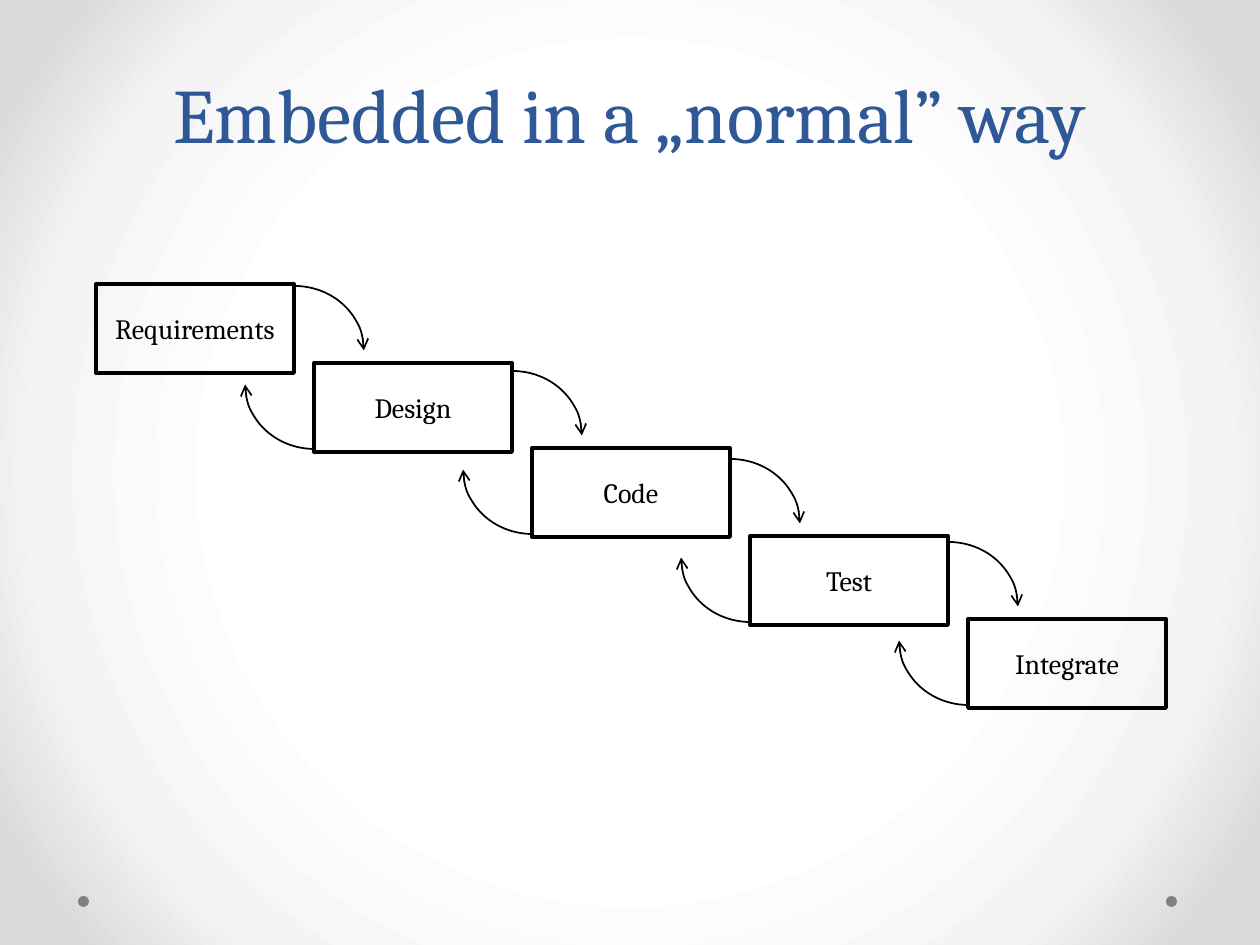
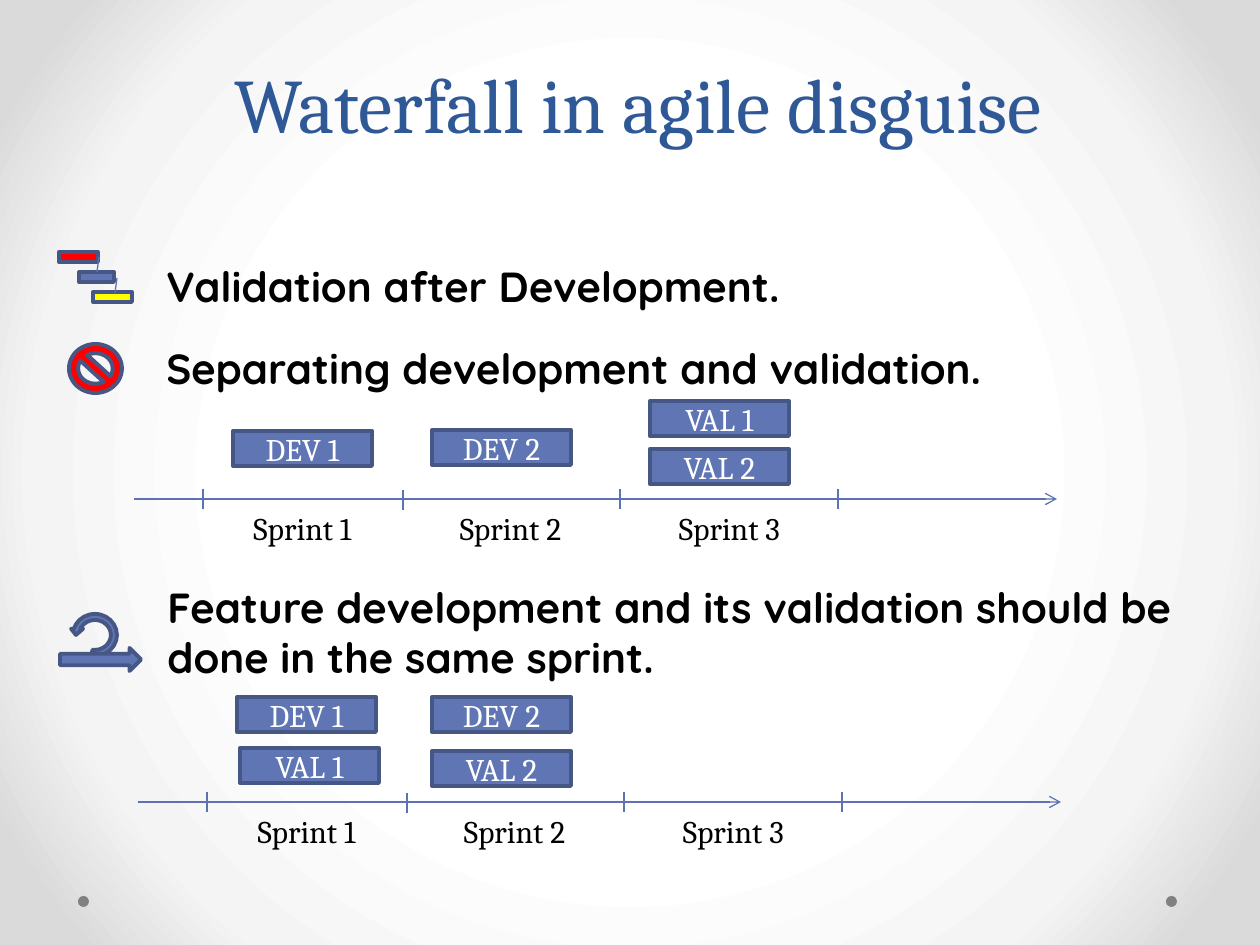
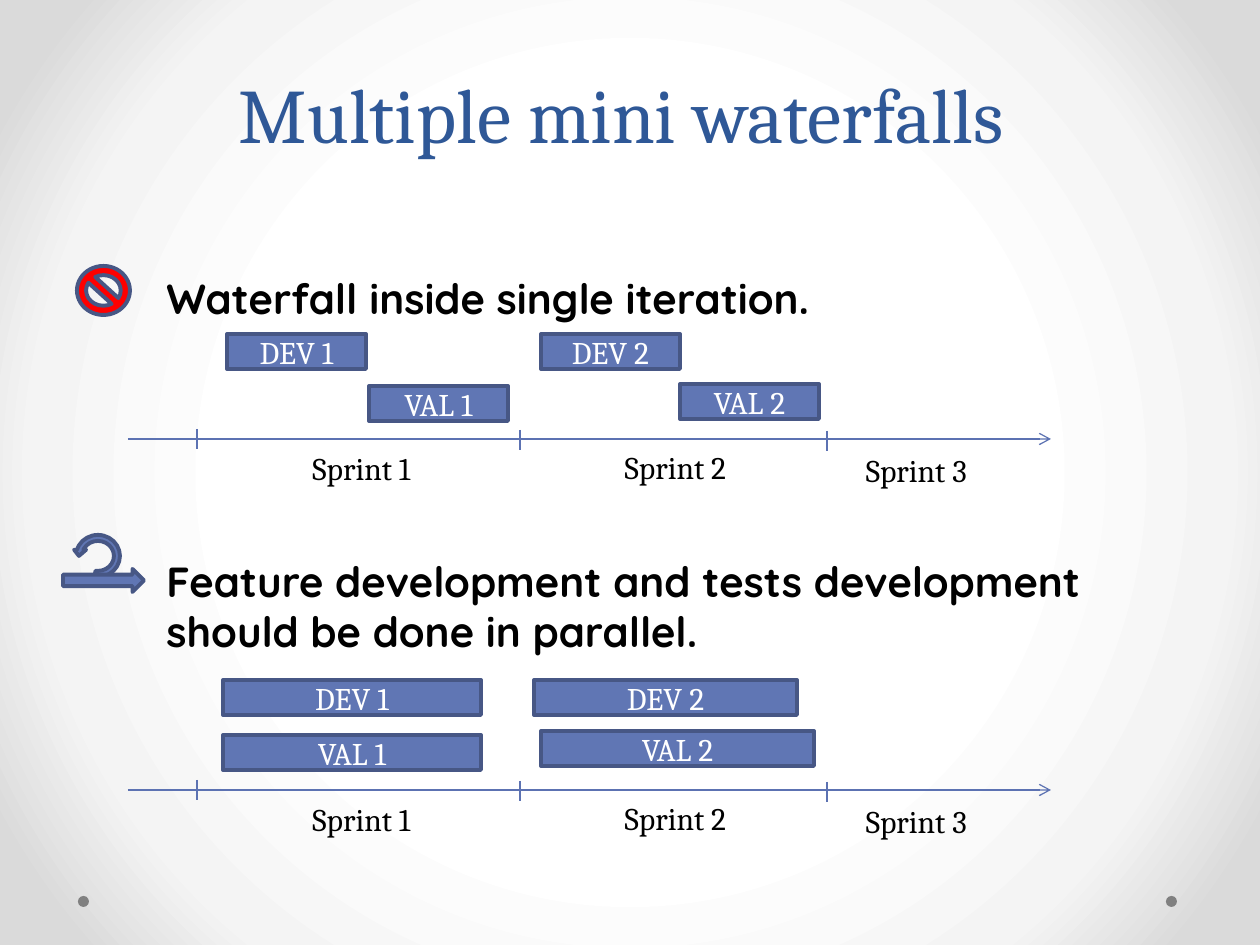
import pptx
import pptx.dml.color
import pptx.enum.shapes
import pptx.enum.text
import pptx.oxml
import pptx.oxml.ns
import pptx.util

EMU_PER_PX = 914400 / 126
SERIF, ROUNDED = "Cambria", "Quicksand"
BLACK, WHITE, GREY = "000000", "FFFFFF", "808080"
TITLE_BLUE, TASK_BLUE, TASK_EDGE, AXIS_BLUE = "2F5897", "6076B4", "475785", "5C72B2"
RED, YELLOW = "FF0000", "FFFF00"
BACKDROP_STOPS = [(50, WHITE), (76, "F4F4F4"), (92, "DADADA")]

SHAPE = pptx.enum.shapes.MSO_SHAPE
ANCHOR = pptx.enum.text.MSO_ANCHOR
ALIGN = pptx.enum.text.PP_ALIGN

AXIS_WIDTH, TICK_HEIGHT = 923, 20
TASK_WIDTH, TASK_HEIGHT = 139, 35

# Tick and label positions, measured from the left end of the axis.
EVEN_SPRINTS = {
    "ticks": [(69, -10), (269, -9), (486, -10), (704, -10)],
    "labels": [(99, 11), (307, 11), (526, 11)],
}
WIDE_SPRINTS = {
    "ticks": [(69, -10), (392, -9), (699, -8)],
    "labels": [(164, 11), (478, 10), (719, 13)],
}


def px(length):
    return pptx.util.Emu(round(length * EMU_PER_PX))


def rgb(colour):
    return pptx.dml.color.RGBColor.from_string(colour)


def add_arrowhead(shape):
    line = shape.line._get_or_add_ln()
    line.append(pptx.oxml.parse_xml(
        f'<a:tailEnd {pptx.oxml.ns.nsdecls("a")} type="arrow"/>'))


def write(shape, text, size, colour, font=SERIF, bold=False,
          align=ALIGN.CENTER, anchor=ANCHOR.MIDDLE):
    frame = shape.text_frame
    frame.word_wrap = True
    frame.vertical_anchor = anchor
    paragraph = frame.paragraphs[0]
    paragraph.text = text
    paragraph.alignment = align
    paragraph.font.name = font
    paragraph.font.size = pptx.util.Pt(size)
    paragraph.font.bold = bold
    paragraph.font.color.rgb = rgb(colour)
    return paragraph


def add_figure(slide, kind, left, top, width, height,
               fill=None, edge=None, weight=2.25):
    figure = slide.shapes.add_shape(kind, px(left), px(top), px(width), px(height))
    figure.shadow.inherit = False
    if fill:
        figure.fill.solid()
        figure.fill.fore_color.rgb = rgb(fill)
    else:
        figure.fill.background()
    if edge:
        figure.line.color.rgb = rgb(edge)
        figure.line.width = pptx.util.Pt(weight)
    else:
        figure.line.fill.background()
    return figure


def add_text(slide, left, top, width, height, text, size, colour, **style):
    box = slide.shapes.add_textbox(px(left), px(top), px(width), px(height))
    return write(box, text, size, colour, **style)


def add_line(slide, x1, y1, x2, y2):
    line = slide.shapes.add_connector(
        pptx.enum.shapes.MSO_CONNECTOR.STRAIGHT, px(x1), px(y1), px(x2), px(y2))
    line.line.color.rgb = rgb(AXIS_BLUE)
    line.line.width = pptx.util.Pt(0.75)
    line.element.spPr.append(pptx.oxml.parse_xml(
        f'<a:effectLst {pptx.oxml.ns.nsdecls("a")}/>'))
    return line


def set_backdrop(master):
    """Give every slide the radial white-to-grey background."""
    master.background.fill.gradient()
    gradient = next(master.element.iter(pptx.oxml.ns.qn("a:gradFill")))
    stops = "".join(
        f'<a:gs pos="{position * 1000}"><a:srgbClr val="{colour}"/></a:gs>'
        for position, colour in BACKDROP_STOPS)
    gradient.getparent().replace(gradient, pptx.oxml.parse_xml(
        f'<a:gradFill {pptx.oxml.ns.nsdecls("a")} rotWithShape="1">'
        f'<a:gsLst>{stops}</a:gsLst><a:path path="circle">'
        '<a:fillToRect l="50000" t="50000" r="50000" b="50000"/>'
        '</a:path></a:gradFill>'))


def add_titled_slide(deck, title, title_height=165):
    slide = deck.slides.add_slide(deck.slide_layouts[6])
    for dot_left in (1166, 78):
        add_figure(slide, SHAPE.OVAL, dot_left, 896, 11, 11, GREY)
    heading = add_text(slide, 63, 0, 1134, title_height, title, 44, TITLE_BLUE,
                       anchor=ANCHOR.BOTTOM)
    heading.line_spacing = pptx.util.Pt(58)
    return slide


def add_statement(slide, left, top, height, text, line_spacing=None):
    statement = add_text(slide, left, top, 1044, height, text, 24, BLACK,
                         font=ROUNDED, bold=True, align=ALIGN.LEFT,
                         anchor=ANCHOR.TOP)
    statement.space_before = pptx.util.Pt(4.8)
    if line_spacing:
        statement.line_spacing = line_spacing


def add_waterfall(slide, left, top, phases):
    """Draw the phases, given as (name, drop below top), with arcs both ways."""
    for index, (phase, drop) in enumerate(phases):
        x, y = left + index * 218, top + drop
        if index:
            for dx, dy, rotation in ((-89, -77, 0), (-69, -43, 180)):
                arc = add_figure(slide, SHAPE.ARC, x + dx, y + dy, 139, 129,
                                 edge=BLACK, weight=1)
                arc.rotation = rotation
                add_arrowhead(arc)
        box = add_figure(slide, SHAPE.RECTANGLE, x, y, 198, 89, edge=BLACK)
        write(box, phase, 16, BLACK)


def add_timeline(slide, left, top, sprints, tasks):
    """Draw an axis at top, its sprints, and tasks as (name, dx, dy[, width])."""
    add_arrowhead(add_line(slide, left, top, left + AXIS_WIDTH, top))
    for dx, dy in sprints["ticks"]:
        add_line(slide, left + dx, top + dy, left + dx, top + dy + TICK_HEIGHT)
    for number, (dx, dy) in enumerate(sprints["labels"], 1):
        add_text(slide, left + dx, top + dy, TASK_WIDTH, TASK_HEIGHT,
                 f"Sprint {number}", 18, BLACK)
    for name, dx, dy, *width in tasks:
        task = add_figure(slide, SHAPE.RECTANGLE, left + dx, top + dy,
                          width[0] if width else TASK_WIDTH, TASK_HEIGHT,
                          TASK_BLUE, TASK_EDGE)
        write(task, name, 18, WHITE)


def add_waterfall_icon(slide, left, top):
    for dx, dy, width, fill in ((0, 0, 39, RED), (20, 20, 35, TASK_BLUE),
                                (34, 40, 39, YELLOW)):
        add_figure(slide, SHAPE.RECTANGLE, left + dx, top + dy, width, 10,
                   fill, TASK_EDGE)
    for dx, dy in ((40, 5), (58, 26)):
        add_line(slide, left + dx, top + dy, left + dx - 2, top + dy + 15)


def add_forbidden_icon(slide, left, top):
    add_figure(slide, SHAPE.NO_SYMBOL, left, top, 53, 49, RED, TASK_EDGE)


def add_iteration_icon(slide, left, top):
    loop = add_figure(slide, SHAPE.CIRCULAR_ARROW, left + 10, top, 50, 48,
                      TASK_BLUE, TASK_EDGE)
    for index, value in enumerate((0.125, 11.42, 204.58, 48.45, 0.125)):
        loop.adjustments[index] = value
    loop.element.spPr.find(pptx.oxml.ns.qn("a:xfrm")).set("flipH", "1")
    add_figure(slide, SHAPE.RIGHT_ARROW, left, top + 37, 81, 23,
               TASK_BLUE, TASK_EDGE)


def build_normal_way(deck):
    slide = add_titled_slide(deck, "Embedded in a „normal” way")
    add_waterfall(slide, 96, 284, [
        ("Requirements", 0), ("Design", 79), ("Code", 164),
        ("Test", 252), ("Integrate", 335)])


def build_agile_disguise(deck):
    slide = add_titled_slide(deck, " Waterfall in agile disguise", 155)
    add_waterfall_icon(slide, 59, 252)
    add_statement(slide, 154, 254, 89, "Validation after Development.")
    add_forbidden_icon(slide, 69, 344)
    add_statement(slide, 154, 311, 89, "Separating development and validation.", 1.5)
    add_timeline(slide, 134, 499, EVEN_SPRINTS, [
        ("DEV 1", 99, -68), ("DEV 2", 298, -69),
        ("VAL 1", 516, -98), ("VAL 2", 516, -50)])
    add_iteration_icon(slide, 60, 611)
    add_statement(slide, 155, 575, 122, "Feature development and its validation "
                  "should be done in the same sprint.")
    add_timeline(slide, 138, 802, EVEN_SPRINTS, [
        ("DEV 1", 99, -105), ("DEV 2", 294, -105),
        ("VAL 1", 102, -54), ("VAL 2", 294, -51)])


def build_mini_waterfalls(deck):
    slide = add_titled_slide(deck, "Multiple mini waterfalls ")
    add_forbidden_icon(slide, 77, 266)
    add_statement(slide, 154, 266, 59, "Waterfall inside single iteration.")
    add_timeline(slide, 128, 439, WIDE_SPRINTS, [
        ("DEV 1", 99, -105), ("DEV 2", 413, -105),
        ("VAL 1", 241, -53), ("VAL 2", 552, -55)])
    add_iteration_icon(slide, 63, 532)
    add_statement(slide, 154, 549, 122, "Feature development and tests development "
                  "should be done in parallel.")
    add_timeline(slide, 128, 790, WIDE_SPRINTS, [
        ("DEV 1", 95, -110, 258), ("DEV 2", 406, -110, 263),
        ("VAL 1", 95, -55, 258), ("VAL 2", 413, -59, 273)])


def main():
    deck = pptx.Presentation()
    deck.slide_width, deck.slide_height = px(1260), px(945)
    set_backdrop(deck.slide_master)
    build_normal_way(deck)
    build_agile_disguise(deck)
    build_mini_waterfalls(deck)
    deck.save("out.pptx")


if __name__ == "__main__":
    main()
